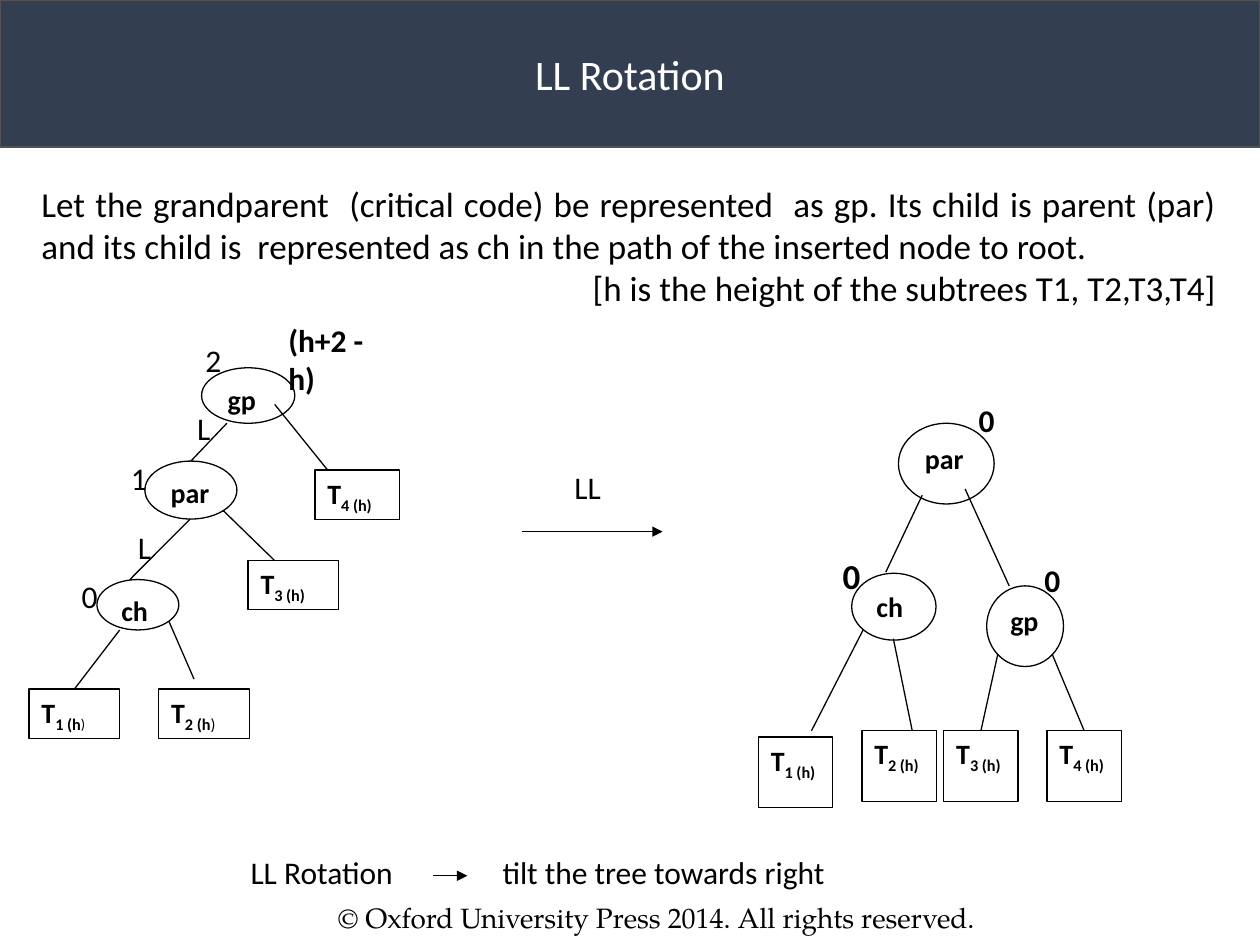
"""Build the LL Rotation slide with the tree before and after the rotation."""
from lxml.etree import SubElement
from pptx import Presentation
from pptx.dml.color import RGBColor
from pptx.enum.shapes import MSO_CONNECTOR as Connector, MSO_SHAPE as Shape
from pptx.enum.text import MSO_ANCHOR as Anchor, PP_ALIGN as Align
from pptx.oxml.ns import qn
from pptx.util import Pt

COLORS = {"black": "000000", "white": "FFFFFF", "banner": "333F50", "border": "525252"}


class SlideBuilder:
    """Hold the style and the slide, and draw each kind of element."""

    font = "Calibri"
    line_width = 0.75

    def __init__(self, slide):
        self.slide = slide
        self.shapes = slide.shapes

    def start_group(self):
        self.shapes = self.slide.shapes.add_group_shape().shapes

    def end_group(self):
        self.shapes = self.slide.shapes

    def color(self, name):
        return RGBColor.from_string(COLORS[name])

    def paint(self, shape, fill, line, width):
        shape.fill.solid()
        shape.fill.fore_color.rgb = self.color(fill)
        shape.line.color.rgb = self.color(line)
        shape.line.width = Pt(width)

    def style(self, font, size, bold=False, color="black", name=None):
        font.name = name or self.font
        font.size = Pt(size)
        font.bold = bold
        font.color.rgb = self.color(color)

    def title(self, text, left, top, width, height):
        shape = self.slide.shapes.title
        shape.left, shape.top, shape.width, shape.height = map(Pt, (left, top, width, height))
        self.paint(shape, "banner", "border", 1)
        shape.text_frame.text = text
        shape.text_frame.vertical_anchor = Anchor.MIDDLE
        paragraph = shape.text_frame.paragraphs[0]
        paragraph.alignment = Align.CENTER
        self.style(paragraph.font, 24, color="white")

    def text(self, paragraphs, left, top, width, height=28.8, size=18, bold=False,
             wrap=False, name=None, tab=None):
        box = self.shapes.add_textbox(Pt(left), Pt(top), Pt(width), Pt(height))
        frame = box.text_frame
        frame.word_wrap = wrap
        for index, (text, alignment) in enumerate(paragraphs):
            paragraph = frame.add_paragraph() if index else frame.paragraphs[0]
            paragraph.alignment = alignment
            paragraph.add_run().text = text
            if tab:
                stops = SubElement(paragraph._p.get_or_add_pPr(), qn("a:tabLst"))
                SubElement(stops, qn("a:tab"), pos=str(Pt(tab)), algn="l")
            self.style(paragraph.font, size, bold, name=name)

    def label(self, text, left, top, width=23, **options):
        self.text([(text, Align.LEFT)], left, top, width, **options)

    def node(self, kind, left, top, width, height, text, subscript="", closing="", closing_size=16):
        shape = self.shapes.add_shape(kind, Pt(left), Pt(top), Pt(width), Pt(height))
        shape.shadow.inherit = False
        self.paint(shape, "white", "black", self.line_width)
        shape.text_frame.word_wrap = True
        shape.text_frame.vertical_anchor = Anchor.TOP
        paragraph = shape.text_frame.paragraphs[0]
        paragraph.alignment = Align.LEFT
        paragraph.space_after = Pt(10)
        parts = ((text, True, 16, 0), (subscript, True, 16, -25000),
                 (closing, False, closing_size, -25000))
        for part, bold, size, baseline in parts:
            if part:
                run = paragraph.add_run()
                run.text = part
                self.style(run.font, size, bold)
                if baseline:
                    run._r.get_or_add_rPr().set("baseline", str(baseline))
        return shape

    def line(self, start, end, arrow=False):
        """Draw a line to a point, or to the top middle of a shape."""
        point = end if isinstance(end, tuple) else start
        connector = self.shapes.add_connector(Connector.STRAIGHT, *map(Pt, start + point))
        if point is not end:
            connector.end_connect(end, 0)
        connector.line.color.rgb = self.color("black")
        connector.line.width = Pt(self.line_width)
        if arrow:
            SubElement(connector.line._get_or_add_ln(), qn("a:tailEnd"), type="triangle")
        SubElement(connector._element.spPr, qn("a:effectLst"))


def draw_tree_before(builder):
    builder.start_group()
    builder.node(Shape.OVAL, 115.2, 210.2, 53.3, 31.7, "gp")
    parent = builder.node(Shape.OVAL, 82.8, 263.5, 52.6, 33.1, "par")
    builder.node(Shape.OVAL, 55.4, 331.2, 46.8, 28.8, "ch")
    builder.node(Shape.RECTANGLE, 180, 268.6, 48.2, 28.1, "T", "4 (h)")
    builder.node(Shape.RECTANGLE, 141.8, 320.4, 51.8, 28.1, "T", "3 (h)")
    builder.node(Shape.RECTANGLE, 90.7, 393.8, 51.8, 28.1, "T", "2 (h", ")")
    subtree = builder.node(Shape.RECTANGLE, 16.6, 393.8, 51.8, 28.1, "T", "1 (h", ")", 14)
    for start, end in (
        ((157, 231.1), (187.2, 268.6)),
        ((129.6, 241.9), parent),
        ((127.4, 291.6), (157, 320.4)),
        ((108.7, 296.6), (74.2, 331.2)),
        ((68.4, 360), subtree),
        ((96.5, 355), (110.9, 388.1)),
    ):
        builder.line(start, end)
    builder.end_group()
    builder.label("(h+2 - h)", 157.7, 180, 76.3, bold=True)
    for text, left, top in (("2", 110.2, 191.5), ("L", 105.5, 230.4), ("1", 67.7, 258.5),
                            ("L", 71.7, 298.1), ("0", 39.6, 326.2)):
        builder.label(text, left, top)


def draw_tree_after(builder):
    builder.start_group()
    builder.node(Shape.OVAL, 513.4, 241.9, 54.7, 46.1, "par")
    builder.node(Shape.OVAL, 486.7, 327.6, 48.2, 38.2, "ch")
    builder.node(Shape.OVAL, 563.8, 334.8, 43.9, 46.1, "gp")
    places = ((433.4, 421.2), (492.5, 417.6), (539.3, 417.6), (598.3, 417.6))
    subtrees = [builder.node(Shape.RECTANGLE, left, top, 42.5, 40.3, "T", f"{number} (h)")
                for number, (left, top) in enumerate(places, 1)]
    for start, end in (
        ((551.5, 279.4), (576.7, 334.8)),
        ((601.2, 373.7), subtrees[3]),
        ((510.5, 365), (521.3, 417.6)),
        ((527, 283), (506.2, 326.9)),
        ((493.2, 360), (463.7, 417.6)),
        ((570.2, 373.7), subtrees[2]),
    ):
        builder.line(start, end)
    builder.end_group()
    builder.label("0", 552.2, 225.4, bold=True)
    builder.label("0", 474.5, 313.2, 24.5, height=31.7, size=20, bold=True)
    builder.label("0", 589.7, 316.8, bold=True)


def main():
    presentation = Presentation()
    presentation.slide_width, presentation.slide_height = Pt(720), Pt(540)
    builder = SlideBuilder(presentation.slides.add_slide(presentation.slide_layouts[5]))
    builder.title("LL Rotation", 0, 0, 720, 84.2)
    builder.text([
        ("Let the grandparent  (critical code) be represented  as gp. Its child is parent (par) "
         "and its child is  represented as ch in the path of the inserted node to root.",
         Align.JUSTIFY),
        ("[h is the height of the subtrees T1, T2,T3,T4]", Align.RIGHT),
    ], 16.6, 100.8, 685.4, 120.2, size=20, wrap=True)
    draw_tree_before(builder)
    builder.label("LL", 321.1, 264.2, 29.5)
    builder.line((298.1, 303.8), (378.7, 303.8), arrow=True)
    draw_tree_after(builder)
    builder.label("LL Rotation\ttilt the tree towards right", 136.1, 483.8, 343.4, tab=144)
    builder.line((247.7, 500.4), (267.1, 500.4), arrow=True)
    builder.label("© Oxford University Press 2014. All rights reserved.", 185.8, 511.2, 426.2,
                  height=26.6, size=16, wrap=True, name="TeX Gyre Pagella")
    presentation.save("out.pptx")


if __name__ == "__main__":
    main()
